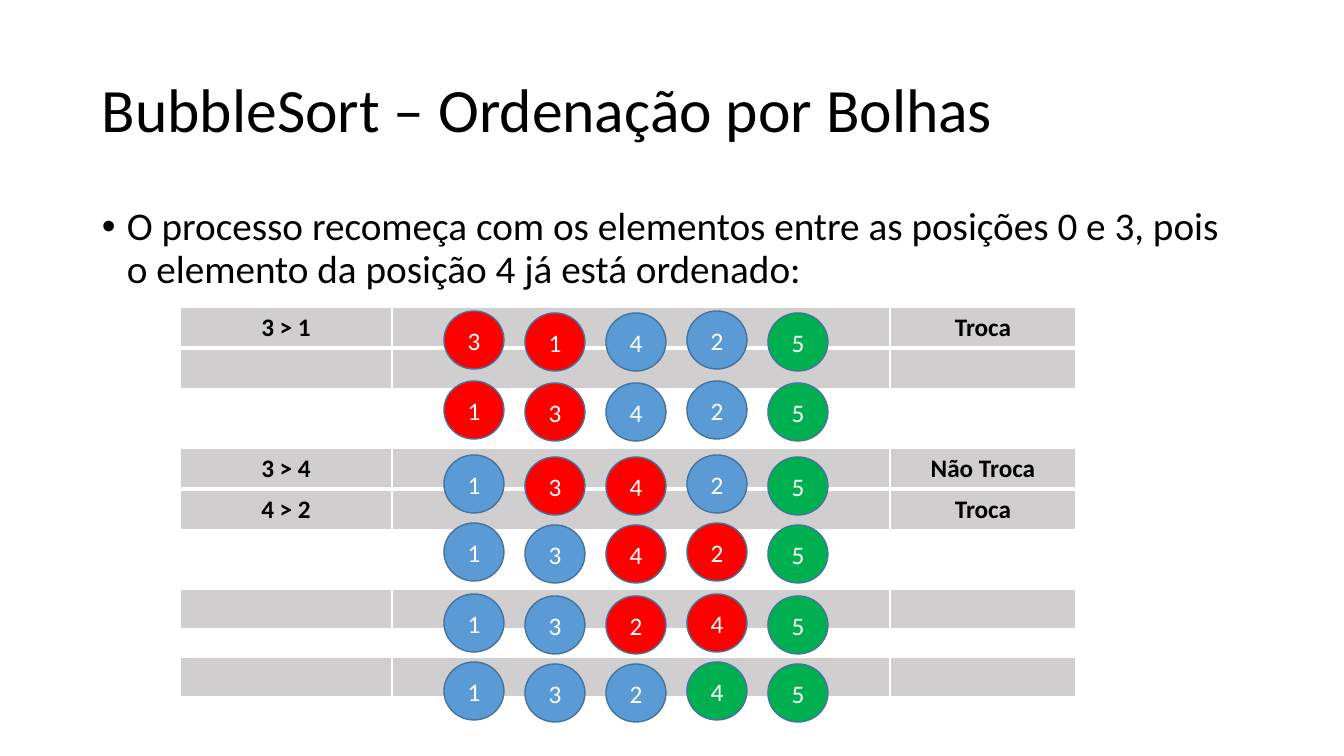
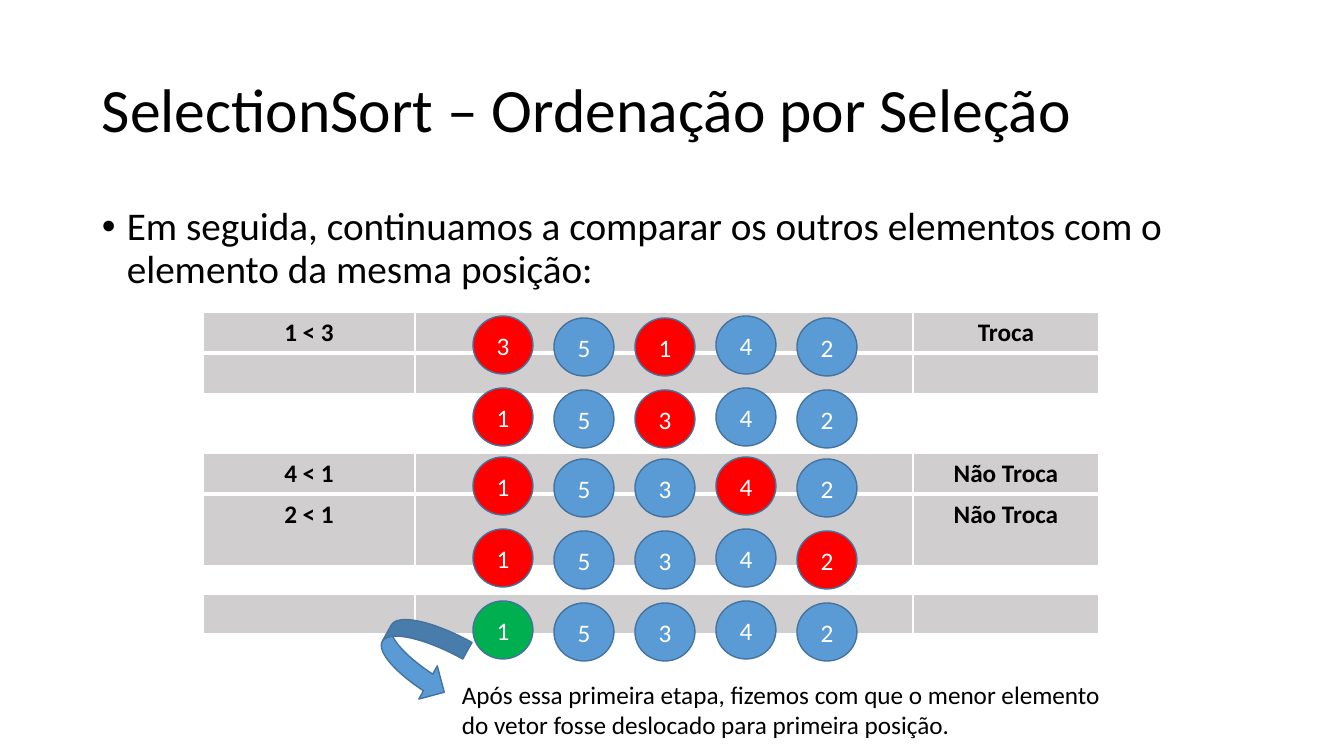
from lxml import etree
from pptx import Presentation
from pptx.dml.color import RGBColor
from pptx.enum.shapes import MSO_SHAPE
from pptx.enum.text import MSO_ANCHOR, PP_ALIGN
from pptx.oxml.ns import qn
from pptx.util import Pt

EMU_PER_PX = 914400 / 100.8
FONT = "Calibri"
BLACK = RGBColor(0x00, 0x00, 0x00)
WHITE = RGBColor(0xFF, 0xFF, 0xFF)
GRAY = RGBColor(0xD0, 0xCE, 0xCE)
BLUE = RGBColor(0x5B, 0x9B, 0xD5)
DARK_BLUE = RGBColor(0x43, 0x73, 0x9E)
RED = RGBColor(0xFF, 0x00, 0x00)
GREEN = RGBColor(0x00, 0xB0, 0x50)

COLUMN_WIDTHS = (212, 498, 186)
ROW_HEIGHT = 41
CIRCLE_STEP = 81
CIRCLE_DROPS = (0, 2, 2, 0, 2)
CIRCLE_FILLS = {"B": BLUE, "R": RED, "G": GREEN}
EMPTY_ROW = ("", "")


def px(*lengths):
    return [round(length * EMU_PER_PX) for length in lengths]


def write(frame, text, size, color=BLACK, bold=False, align=PP_ALIGN.LEFT):
    frame.word_wrap = True
    paragraph = frame.paragraphs[0]
    paragraph.text = text
    paragraph.alignment = align
    paragraph.font.name = FONT
    paragraph.font.size = Pt(size)
    paragraph.font.bold = bold
    paragraph.font.color.rgb = color
    return paragraph


SLIDES = [
    {
        "title": "BubbleSort – Ordenação por Bolhas",
        "body": "O processo recomeça com os elementos entre as posições 0 e 3, "
                "pois o elemento da posição 4 já está ordenado:",
        "table_left": 180,
        "tables": [
            (307, [("3 > 1", "Troca"), EMPTY_ROW]),
            (448, [("3 > 4", "Não Troca"), ("4 > 2", "Troca")]),
            (589, [EMPTY_ROW]),
            (657, [EMPTY_ROW]),
        ],
        "circle_left": 444,
        "circles": [
            (311, "31425", "RRBBG"),
            (381, "13425", "RRBBG"),
            (455, "13425", "BRRBG"),
            (523, "13425", "BBRRG"),
            (594, "13245", "BBRRG"),
            (662, "13245", "BBBGG"),
        ],
    },
    {
        "title": "SelectionSort – Ordenação por Seleção",
        "body": "Em seguida, continuamos a comparar os outros elementos com o "
                "elemento da mesma posição:",
        "table_left": 203,
        "tables": [
            (312, [("1 < 3", "Troca"), EMPTY_ROW]),
            (453, [("4 < 1", "Não Troca"), ("2 < 1", "Não Troca")]),
            (594, [EMPTY_ROW]),
        ],
        "tall_row": (1, 1, 72),
        "circle_left": 473,
        "circles": [
            (316, "35142", "RBRBB"),
            (388, "15342", "RBRBB"),
            (457, "15342", "RBBRB"),
            (529, "15342", "RBBBR"),
            (601, "15342", "GBBBB"),
        ],
        "note": "Após essa primeira etapa, fizemos com que o menor elemento "
                "do vetor fosse deslocado para primeira posição.",
    },
]

presentation = Presentation()
presentation.slide_width, presentation.slide_height = px(1344, 756)

for content in SLIDES:
    slide = presentation.slides.add_slide(presentation.slide_layouts[6])

    title = slide.shapes.add_textbox(*px(92, 40, 1160, 146)).text_frame
    title.vertical_anchor = MSO_ANCHOR.MIDDLE
    write(title, content["title"], 44).line_spacing = 0.9

    body = slide.shapes.add_textbox(*px(92, 202, 1160, 103)).text_frame
    paragraph = write(body, content["body"], 28)
    paragraph.line_spacing = 0.9
    paragraph.space_before = Pt(10)
    properties = paragraph.font._element.getparent()
    indent = px(25)[0]
    properties.set("marL", str(indent))
    properties.set("indent", str(-indent))
    bullet_font = etree.Element(qn("a:buFont"), typeface="Arial")
    bullet = etree.Element(qn("a:buChar"), char="•")
    paragraph.font._element.addprevious(bullet_font)
    paragraph.font._element.addprevious(bullet)

    for table_index, (top, rows) in enumerate(content["tables"]):
        table = slide.shapes.add_table(
            len(rows), 3,
            *px(content["table_left"], top, sum(COLUMN_WIDTHS), ROW_HEIGHT * len(rows)),
        ).table
        table.first_row = False
        table.horz_banding = False
        for column, width in zip(table.columns, COLUMN_WIDTHS):
            column.width = px(width)[0]
        for row_index, (comparison, result) in enumerate(rows):
            table.rows[row_index].height = px(ROW_HEIGHT)[0]
            for column_index, text in enumerate((comparison, "", result)):
                cell = table.cell(row_index, column_index)
                cell.fill.solid()
                cell.fill.fore_color.rgb = GRAY
                if text:
                    write(cell.text_frame, text, 18, bold=True, align=PP_ALIGN.CENTER)
                top_width, bottom_width = (1, 3) if row_index == 0 else (3, 1)
                widths = {"lnL": 1, "lnR": 1, "lnT": top_width, "lnB": bottom_width}
                cell_properties = cell._tc.get_or_add_tcPr()
                for position, (side, width) in enumerate(widths.items()):
                    border = etree.Element(qn(f"a:{side}"), w=str(Pt(width)))
                    fill = etree.SubElement(border, qn("a:solidFill"))
                    etree.SubElement(fill, qn("a:srgbClr"), val=str(WHITE))
                    cell_properties.insert(position, border)
        if "tall_row" in content:
            tall_table, tall_index, height = content["tall_row"]
            if table_index == tall_table:
                table.rows[tall_index].height = px(height)[0]

    for top, digits, colors in content["circles"]:
        for index, (digit, color, drop) in enumerate(zip(digits, colors, CIRCLE_DROPS)):
            left = content["circle_left"] + index * CIRCLE_STEP
            circle = slide.shapes.add_shape(MSO_SHAPE.OVAL, *px(left, top + drop, 60, 58))
            circle.shadow.inherit = False
            circle.fill.solid()
            circle.fill.fore_color.rgb = CIRCLE_FILLS[color]
            circle.line.color.rgb = DARK_BLUE
            circle.line.width = Pt(1)
            circle.text_frame.vertical_anchor = MSO_ANCHOR.MIDDLE
            write(circle.text_frame, digit, 18, WHITE, align=PP_ALIGN.CENTER)

    if "note" in content:
        note = slide.shapes.add_textbox(*px(452, 674, 672, 72))
        write(note.text_frame, content["note"], 18)
        arrow = slide.shapes.add_shape(MSO_SHAPE.CURVED_UP_ARROW, *px(381, 617, 76, 79))
        arrow.shadow.inherit = False
        arrow.rotation = 119.1
        arrow.fill.solid()
        arrow.fill.fore_color.rgb = BLUE
        arrow.line.color.rgb = DARK_BLUE
        arrow.line.width = Pt(1)

presentation.save("out.pptx")
